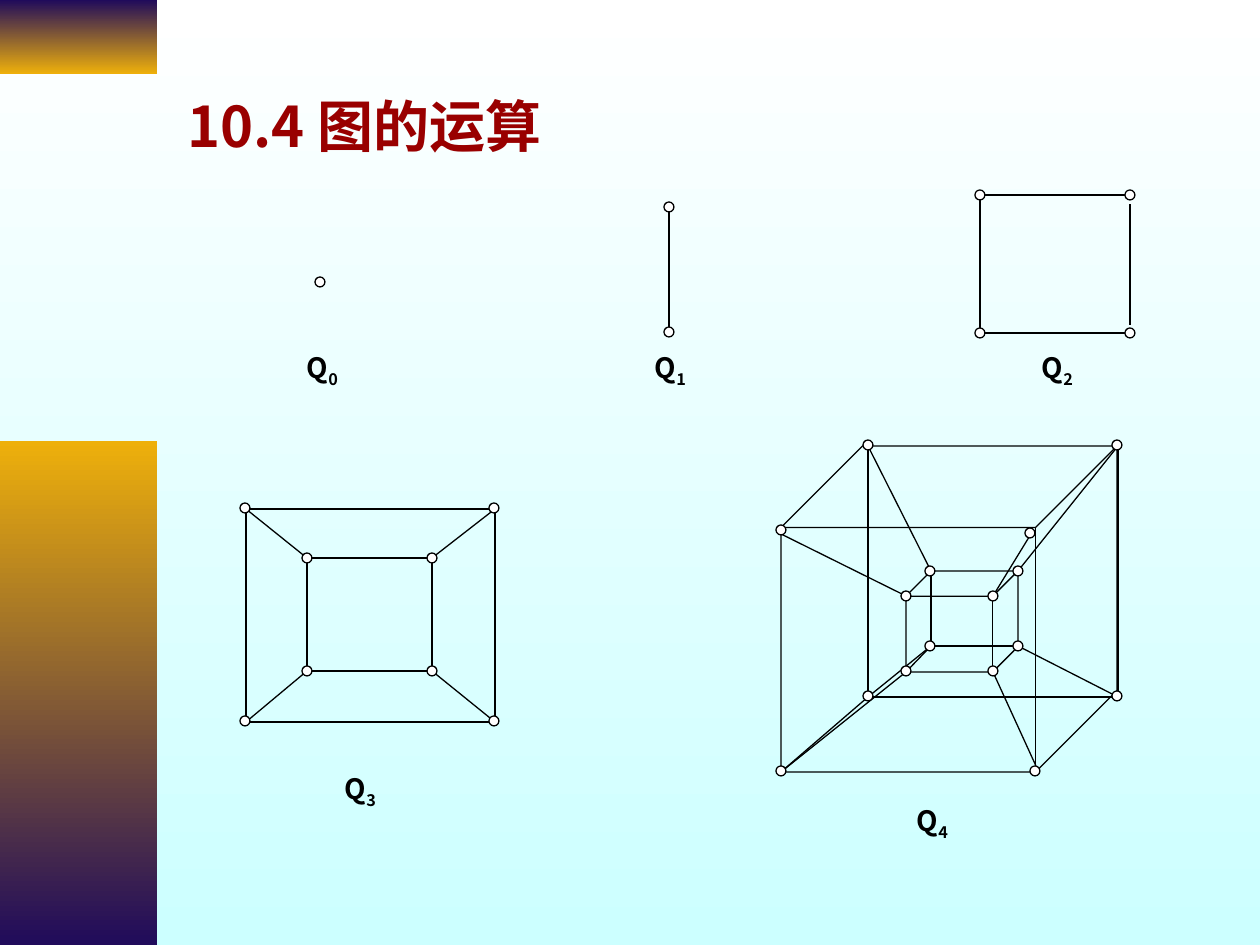
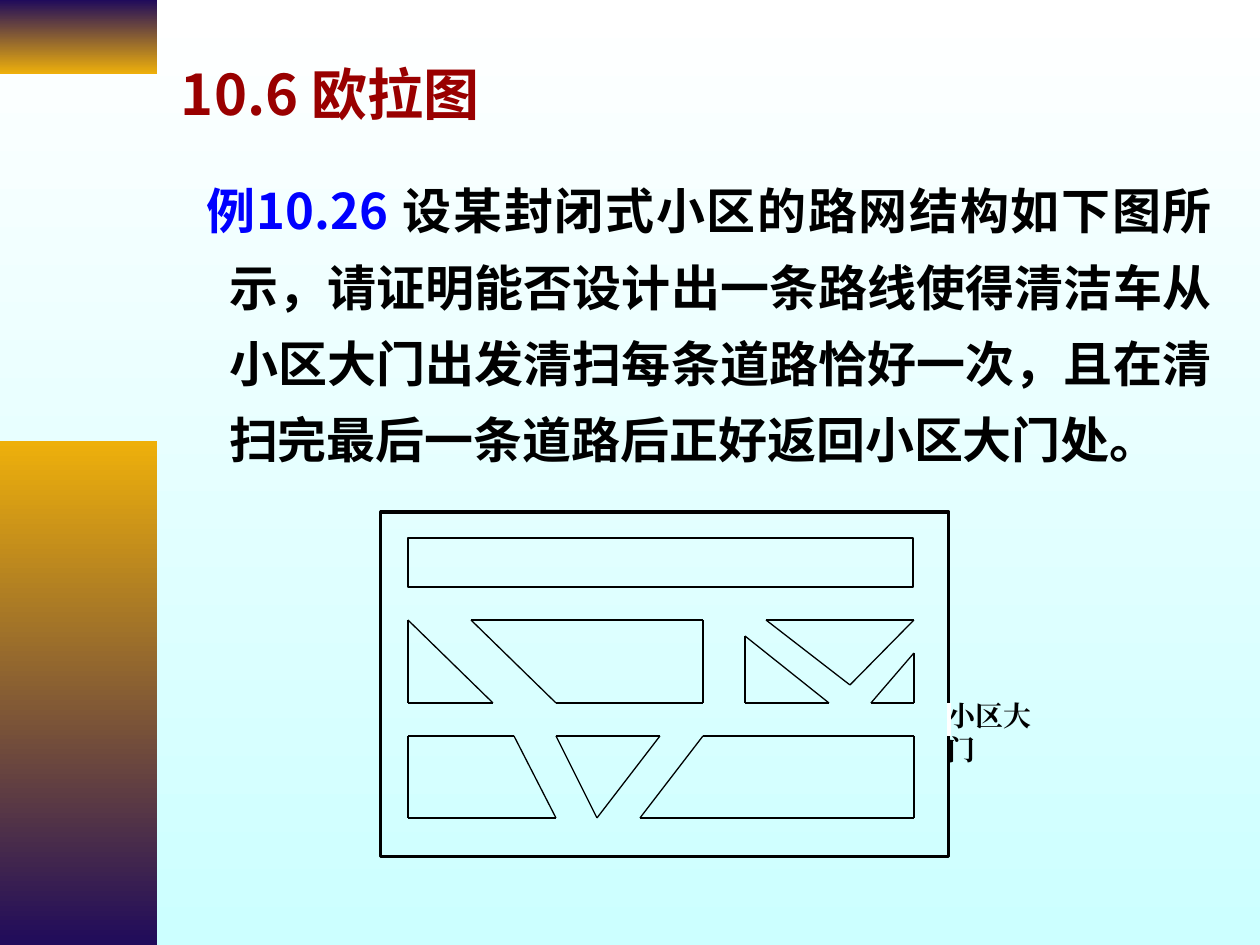
from itertools import product

from lxml.etree import SubElement
from pptx import Presentation
from pptx.dml.color import RGBColor
from pptx.enum.shapes import MSO_CONNECTOR, MSO_SHAPE
from pptx.enum.text import MSO_ANCHOR, PP_ALIGN
from pptx.oxml.ns import qn
from pptx.util import Inches, Pt

PX = 7257  # EMU in one px, 126 px to the inch
NAVY, GOLD, WHITE, BLACK = "200B5B", "EEB00B", "FFFFFF", "000000"
RED, BLUE, PALE_CYAN = "990000", "0000FF", "CCFFFF"
SANS, SERIF = "Noto Sans CJK SC", "Times New Roman"
rgb = RGBColor.from_string


def add_box(slide, kind, box, fill=None, line=BLACK, weight=0.75):
    """Add a preset shape; without a fill or line colour that part is left empty."""
    shape = slide.shapes.add_shape(kind, *[n * PX for n in box])
    shape.shadow.inherit = False
    for part, colour in ((shape.fill, fill), (shape.line.fill, line)):
        if colour:
            part.solid()
            part.fore_color.rgb = rgb(colour)
        else:
            part.background()
    if line:
        shape.line.width = Pt(weight)
    return shape


def add_text(slide, box, pieces, size, font=SANS, inset=13):
    """Add one bold paragraph made of (text, colour) pieces."""
    frame = slide.shapes.add_textbox(*[n * PX for n in box]).text_frame
    frame.word_wrap = True
    frame.margin_left = frame.margin_right = inset * PX
    frame.margin_top = frame.margin_bottom = 6 * PX
    for text, colour in pieces:
        run = frame.paragraphs[0].add_run()
        run.text = text
        run.font.size, run.font.bold, run.font.name = Pt(size), True, font
        run.font.color.rgb = rgb(colour)
        SubElement(run.font._element, qn("a:ea"), typeface=font)
    return frame


presentation = Presentation()
presentation.slide_width, presentation.slide_height = Inches(10), Inches(7.5)
blank = presentation.slide_layouts[6]
cubes, euler = [presentation.slides.add_slide(blank) for _ in range(2)]

# Shared background and side bands
for slide in (cubes, euler):
    top_band = add_box(slide, MSO_SHAPE.RECTANGLE, (0, 0, 157, 74), line=None)
    side_band = add_box(slide, MSO_SHAPE.RECTANGLE, (0, 441, 157, 504), line=None)
    for fill, colours in (
        (slide.background.fill, (WHITE, PALE_CYAN)),
        (top_band.fill, (NAVY, GOLD)),
        (side_band.fill, (GOLD, NAVY)),
    ):
        fill.gradient()
        fill.gradient_angle = 270
        for stop, colour in zip(fill.gradient_stops, colours):
            stop.color.rgb = rgb(colour)

# Titles
for slide, title, box in (
    (cubes, "10.4 图的运算", (174, 74, 1032, 103)),
    (euler, "10.6 欧拉图", (168, 42, 1071, 103)),
):
    add_text(slide, box, [(title, RED)], 32).vertical_anchor = MSO_ANCHOR.MIDDLE

# Names of the hypercubes Q0 to Q4
for order, (x, y) in enumerate(((296, 345), (644, 345), (1031, 345), (334, 766), (906, 798))):
    label = add_text(cubes, (x, y, 137, 50), [("Q", BLACK), (str(order), BLACK)], 16, inset=11)
    label.paragraphs[0].runs[1].font._element.set("baseline", "-25000")

# Example on the road network
example = add_text(
    euler,
    (168, 157, 1057, 336),
    [
        ("例10.26 ", BLUE),
        (
            "设某封闭式小区的路网结构如下图所示，请证明能否设计出一条路线使得"
            "清洁车从小区大门出发清扫每条道路恰好一次，且在清扫完最后一条道路后"
            "正好返回小区大门处。",
            BLACK,
        ),
    ],
    28,
).paragraphs[0]
example.alignment = PP_ALIGN.JUSTIFY
example.line_spacing = 1.3
example._p.get_or_add_pPr().set("marL", str(48 * PX))
example._p.get_or_add_pPr().set("indent", str(-23 * PX))

# Outlines: Q3 squares, Q4 cubes, estate wall and top block
for slide, kind, box, weight in (
    (cubes, MSO_SHAPE.RECTANGLE, (246, 509, 249, 213), 0.75),
    (cubes, MSO_SHAPE.RECTANGLE, (307, 558, 125, 113), 0.75),
    (cubes, MSO_SHAPE.CUBE, (781, 446, 336, 326), 0.75),
    (cubes, MSO_SHAPE.CUBE, (906, 571, 112, 101), 0.75),
    (euler, MSO_SHAPE.RECTANGLE, (381, 512, 568, 345), 1.75),
    (euler, MSO_SHAPE.RECTANGLE, (408, 538, 505, 49), 0.75),
):
    add_box(slide, kind, box, weight=weight)

gate = add_text(euler, (935, 693, 136, 47), [("小区大门", BLACK)], 16, SERIF)
gate.word_wrap = False

# Edges as x1, y1, x2, y2
q1_q2_edges = [
    (669, 329, 669, 208),
    (980, 330, 980, 192),
    (975, 333, 1131, 333),
    (1130, 325, 1130, 204),
    (980, 195, 1134, 195),
]
q3_edges = [
    (246, 509, 307, 558),
    (246, 722, 307, 671),
    (432, 558, 495, 509),
    (432, 671, 495, 722),
]
q4_edges = [
    (868, 446, 868, 697),
    (1118, 697, 868, 697),
    (781, 772, 868, 697),
    (931, 571, 931, 646),
    (931, 646, 1018, 646),
    (906, 672, 931, 646),
    (868, 446, 931, 571),
    (781, 534, 906, 596),
    (993, 672, 1036, 766),
    (1018, 646, 1118, 697),
    (1018, 571, 1118, 446),
    (1031, 534, 993, 596),
    (868, 697, 931, 646),
    (781, 772, 906, 672),
    (1118, 446, 1118, 697),
]
city_blocks = [
    [(408, 620), (408, 703), (493, 703)],
    [(471, 620), (703, 620), (703, 703), (556, 703)],
    [(766, 620), (914, 620), (850, 685)],
    [(745, 636), (829, 703), (745, 703)],
    [(914, 653), (914, 703), (871, 703)],
    [(408, 736), (514, 736), (556, 818), (408, 818)],
    [(556, 736), (660, 736), (597, 818)],
    [(703, 736), (914, 736), (914, 818), (640, 818)],
]
block_sides = [
    start + end
    for corners in city_blocks
    for start, end in zip(corners, corners[1:] + corners[:1])
]
gate_opening = [(949, 703, 949, 736)]

for slide, edges, colour, weight in (
    (cubes, q1_q2_edges + q3_edges + q4_edges, BLACK, 0.75),
    (euler, block_sides, BLACK, 0.75),
    (euler, gate_opening, WHITE, 2),
):
    for edge in edges:
        line = slide.shapes.add_connector(MSO_CONNECTOR.STRAIGHT, *[n * PX for n in edge])
        line.line.color.rgb = rgb(colour)
        line.line.width = Pt(weight)
        SubElement(line._element.spPr, qn("a:effectLst"))

# Vertices, drawn over the edges
vertices = [
    (320, 282),
    *product((669,), (207, 332)),
    *product((980, 1130), (195, 333)),
    *product((245, 494), (508, 721)),
    *product((307, 432), (558, 671)),
    *product((868, 1117), (445, 696)),
    *product((906, 993), (596, 671)),
    *product((930, 1018), (571, 646)),
    (781, 530),
    (781, 771),
    (1030, 533),
    (1035, 771),
]
for x, y in vertices:
    add_box(cubes, MSO_SHAPE.OVAL, (x - 5, y - 5, 10, 10), fill=WHITE)

presentation.save("out.pptx")
